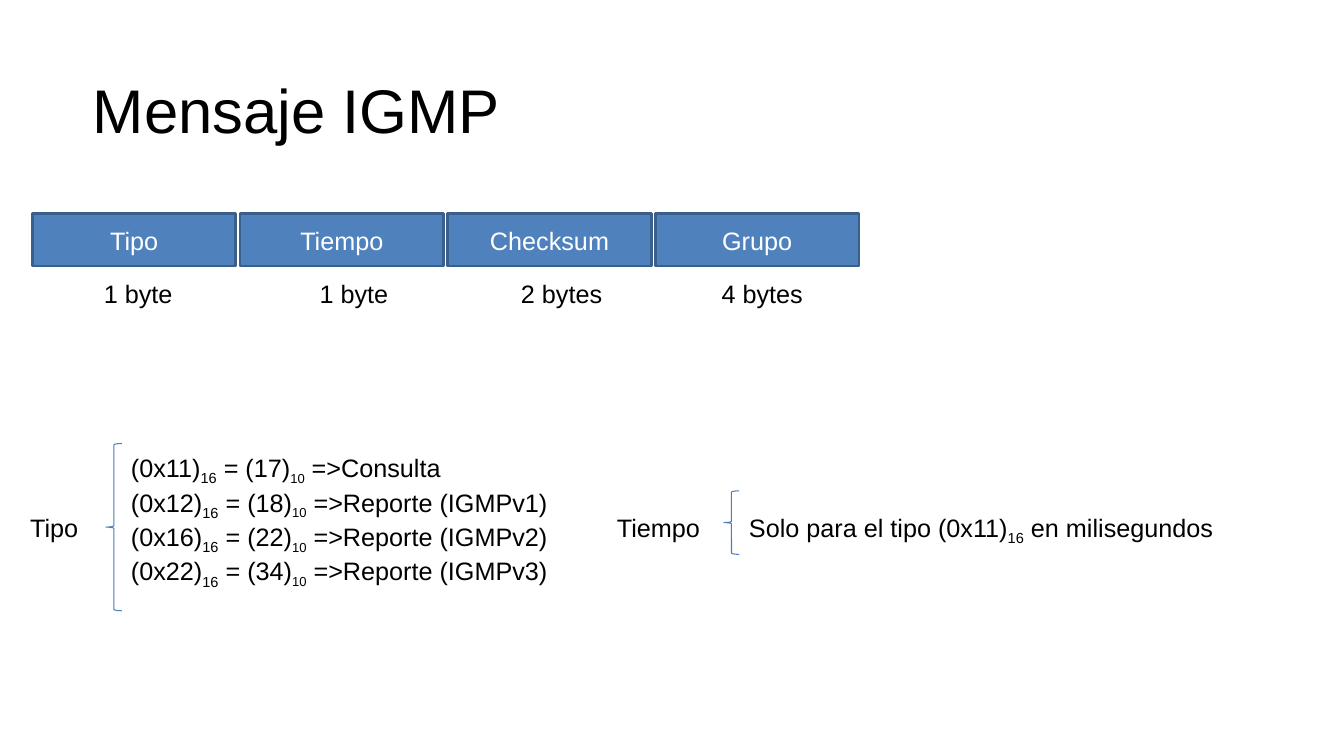
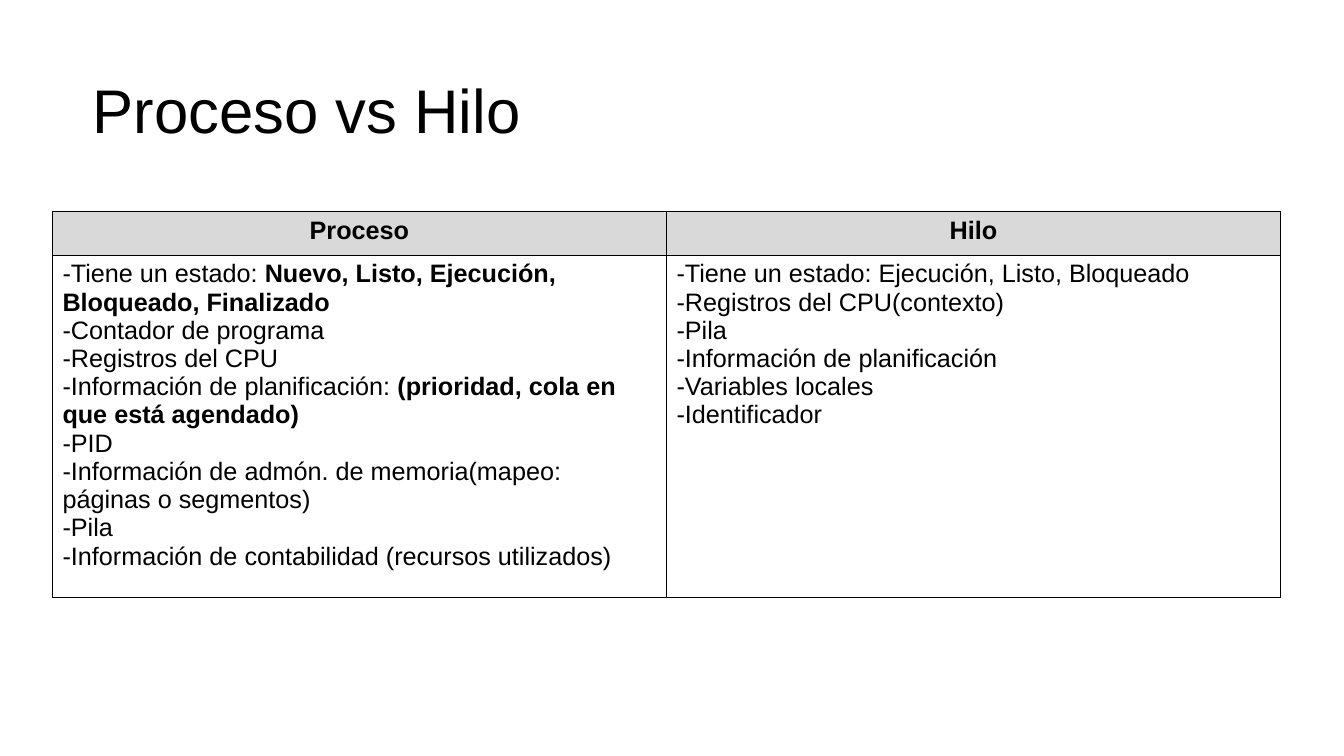
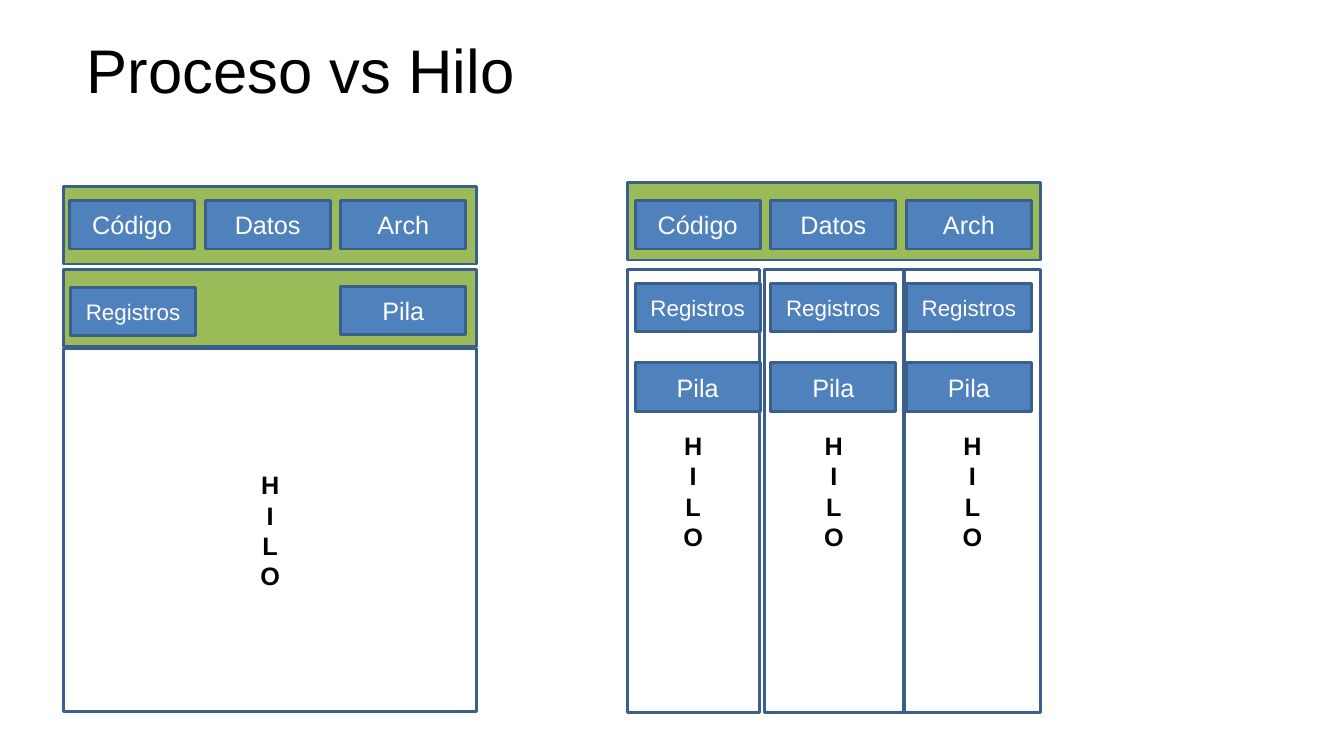
from pptx import Presentation
from pptx.dml.color import RGBColor
from pptx.enum.shapes import MSO_SHAPE
from pptx.enum.text import MSO_ANCHOR, PP_ALIGN
from pptx.oxml import parse_xml
from pptx.oxml.ns import nsdecls
from pptx.util import Inches, Pt

RECTANGLE, LEFT_BRACE = MSO_SHAPE.RECTANGLE, MSO_SHAPE.LEFT_BRACE
TOP, MIDDLE = MSO_ANCHOR.TOP, MSO_ANCHOR.MIDDLE
LEFT, CENTER = PP_ALIGN.LEFT, PP_ALIGN.CENTER

BLACK = RGBColor(0x00, 0x00, 0x00)
WHITE = RGBColor(0xFF, 0xFF, 0xFF)
BLUE = RGBColor(0x4F, 0x81, 0xBD)
DARK_BLUE = RGBColor(0x3A, 0x5F, 0x8B)
BRACE_BLUE = RGBColor(0x4A, 0x7E, 0xBB)
GREEN = RGBColor(0x9B, 0xBB, 0x59)
GRAY = RGBColor(0xD9, 0xD9, 0xD9)
FONT = "Arial"

FIELDS = [("Tipo", "1 byte", 1.37), ("Tiempo", "1 byte", 3.51),
          ("Checksum", "2 bytes", 5.57), ("Grupo", "4 bytes", 7.56)]
MESSAGE_TYPES = [("11", "17", "Consulta"), ("12", "18", "Reporte (IGMPv1)"),
                 ("16", "22", "Reporte (IGMPv2)"), ("22", "34", "Reporte (IGMPv3)")]
PROCESS_TRAITS = [
    ["-Tiene un estado: ", ("Nuevo, Listo, Ejecución, Bloqueado, Finalizado", {"bold": True})],
    "-Contador de programa",
    "-Registros del CPU",
    ["-Información de planificación: ",
     ("(prioridad, cola en que está agendado)", {"bold": True})],
    "-PID",
    "-Información de admón. de memoria(mapeo: páginas o segmentos)",
    "-Pila",
    "-Información de contabilidad (recursos utilizados)",
]
THREAD_TRAITS = [
    "-Tiene un estado: Ejecución, Listo, Bloqueado",
    "-Registros del CPU(contexto)",
    "-Pila",
    "-Información de planificación",
    "-Variables locales",
    "-Identificador",
]
RESOURCES = ["Código", "Datos", "Arch"]
CHIP_WIDTH, CHIP_HEIGHT, CHIP_PITCH = 1.24, 0.48, 1.345
BAR_HEIGHT = 0.77


def write_text(text_frame, paragraphs, size=18, color=BLACK, bold=False,
               align=LEFT, line_spacing=None):
    """Write paragraphs, each a string or a list of strings and (text, format) pairs."""
    for index, content in enumerate(paragraphs):
        paragraph = text_frame.paragraphs[0] if index == 0 else text_frame.add_paragraph()
        paragraph.alignment = align
        paragraph.line_spacing = line_spacing
        for part in [content] if isinstance(content, str) else content:
            text, changes = (part, {}) if isinstance(part, str) else part
            run = paragraph.add_run()
            run.text = text
            run.font.name = FONT
            run.font.size = Pt(changes.get("size", size))
            run.font.bold = changes.get("bold", bold)
            run.font.color.rgb = color
            if "baseline" in changes:
                run.font._element.set("baseline", str(changes["baseline"]))


def add_text(slide, box, paragraphs, anchor=TOP, margins=(0.1, 0.05), **text_format):
    """Add a wrapping text box."""
    text_frame = slide.shapes.add_textbox(*map(Inches, box)).text_frame
    text_frame.word_wrap = True
    text_frame.vertical_anchor = anchor
    text_frame.margin_left = text_frame.margin_right = Inches(margins[0])
    text_frame.margin_top = text_frame.margin_bottom = Inches(margins[1])
    write_text(text_frame, paragraphs, **text_format)


def add_box(slide, box, paragraphs=(), fill=BLUE, color=WHITE, **text_format):
    """Add an outlined rectangle with centred text."""
    shape = slide.shapes.add_shape(RECTANGLE, *map(Inches, box))
    shape.shadow.inherit = False
    shape.fill.solid()
    shape.fill.fore_color.rgb = fill
    shape.line.color.rgb = DARK_BLUE
    shape.line.width = Pt(2)
    shape.text_frame.vertical_anchor = MIDDLE
    write_text(shape.text_frame, paragraphs, color=color, align=CENTER, **text_format)


def add_chip(slide, left, top, label):
    """Add a small blue label box."""
    add_box(slide, (left, top, CHIP_WIDTH, CHIP_HEIGHT), [label],
            size=16 if label == "Registros" else 18)


def add_brace(slide, box):
    """Add a thin left brace."""
    brace = slide.shapes.add_shape(LEFT_BRACE, *map(Inches, box))
    brace.shadow.inherit = False
    brace.fill.background()
    brace.line.color.rgb = BRACE_BLUE
    brace.line.width = Pt(0.75)
    brace.adjustments[0] = 0.083


def add_titled_slide(presentation, title, left=0.92, top=0.4):
    """Add a blank slide with the shared title style."""
    slide = presentation.slides.add_slide(presentation.slide_layouts[6])
    add_text(slide, (left, top, 11.5, 1.45), [title], anchor=MIDDLE,
             margins=(0, 0), size=44, line_spacing=0.9)
    return slide


def add_message_fields(slide, left, top):
    """Draw the row of message fields with their lengths below."""
    for index, (name, length, center) in enumerate(FIELDS):
        add_box(slide, (left + 2.06 * index, top, 2.02, 0.52), [name])
        add_text(slide, (center - 0.6, top + 0.59, 1.2, 0.4), [length], align=CENTER)


def add_definition(slide, label_box, brace_box, text_box, label, paragraphs):
    """Draw a label, a brace and the text it explains."""
    add_text(slide, label_box, [label])
    add_brace(slide, brace_box)
    add_text(slide, text_box, paragraphs)


def build_message_slide(presentation):
    """Build the slide on the message format."""
    slide = add_titled_slide(presentation, "Mensaje IGMP")
    add_message_fields(slide, 0.32, 2.12)
    hexadecimal = ("16", {"baseline": -25000})
    decimal = ("10", {"baseline": -25000, "size": 16})
    types = [[f"(0x{code})", hexadecimal, f" = ({value})", decimal, f" =>{meaning}"]
             for code, value, meaning in MESSAGE_TYPES]
    add_definition(slide, (0.2, 5.03, 0.85, 0.4), (1.05, 4.4, 0.16, 1.66),
                   (1.2, 4.44, 4.82, 1.76), "Tipo", types)
    add_definition(slide, (6.02, 5.03, 1.13, 0.4), (7.18, 4.87, 0.15, 0.63),
                   (7.33, 5.03, 5.09, 0.74), "Tiempo",
                   [["Solo para el tipo (0x11)", hexadecimal, " en milisegundos"]])


def style_cell(cell, fill):
    """Give a table cell thin black borders and a fill."""
    cell.fill.solid()
    cell.fill.fore_color.rgb = fill
    properties = cell._tc.get_or_add_tcPr()
    for index, side in enumerate(("lnL", "lnR", "lnT", "lnB")):
        properties.insert(index, parse_xml(
            f'<a:{side} {nsdecls("a")} w="6350"><a:solidFill>'
            f'<a:srgbClr val="{BLACK}"/></a:solidFill></a:{side}>'))


def add_comparison_table(slide, box):
    """Add the table that compares processes and threads."""
    table = slide.shapes.add_table(2, 2, *map(Inches, box)).table
    table.rows[0].height = Inches(0.43)
    table.rows[1].height = Inches(box[3] - 0.43)
    columns = [("Proceso", PROCESS_TRAITS), ("Hilo", THREAD_TRAITS)]
    for index, (heading, traits) in enumerate(columns):
        header, body = table.cell(0, index), table.cell(1, index)
        style_cell(header, GRAY)
        style_cell(body, WHITE)
        write_text(header.text_frame, [heading], bold=True, align=CENTER)
        write_text(body.text_frame, traits)


def build_comparison_slide(presentation):
    """Build the slide with the comparison table."""
    slide = add_titled_slide(presentation, "Proceso vs Hilo")
    add_comparison_table(slide, (0.52, 2.1, 12.18, 3.8))


def add_thread(slide, box):
    """Add a white box with the word written downwards."""
    add_box(slide, box, list("HILO"), fill=WHITE, color=BLACK, bold=True)


def add_resource_bar(slide, left, top, width, inset_left, inset_top):
    """Add the green bar of shared resources."""
    add_box(slide, (left, top, width, BAR_HEIGHT), fill=GREEN)
    for index, label in enumerate(RESOURCES):
        add_chip(slide, left + inset_left + CHIP_PITCH * index, top + inset_top, label)


def add_single_thread_process(slide, left, top, width, height):
    """Draw a process with one thread."""
    add_resource_bar(slide, left, top, width, 0.06, 0.14)
    add_box(slide, (left, top + 0.82, width, BAR_HEIGHT), fill=GREEN)
    add_chip(slide, left + 0.07, top + 1, "Registros")
    add_chip(slide, left + 0.06 + 2 * CHIP_PITCH, top + 0.99, "Pila")
    add_thread(slide, (left, top + 1.61, width, height - 1.61))


def add_multithread_process(slide, left, top, width, height):
    """Draw a process with three threads."""
    for offset, thread_width in [(1.36, 1.38), (2.75, 1.35), (0, 1.31)]:
        add_thread(slide, (left + offset, top + 0.86, thread_width, height - 0.86))
    add_resource_bar(slide, left, top, width, 0.08, 0.18)
    for row, label in enumerate(["Registros", "Pila"]):
        for column in range(3):
            add_chip(slide, left + 0.08 + CHIP_PITCH * column, top + 1 + 0.79 * row, label)


def build_diagram_slide(presentation):
    """Build the slide with the two process diagrams."""
    slide = add_titled_slide(presentation, "Proceso vs Hilo", 0.86, 0)
    add_single_thread_process(slide, 0.63, 1.85, 4.1, 5.21)
    add_multithread_process(slide, 6.22, 1.81, 4.1, 5.26)


def main():
    """Build and save the presentation."""
    presentation = Presentation()
    presentation.slide_width = Inches(13.33)
    presentation.slide_height = Inches(7.5)
    build_message_slide(presentation)
    build_comparison_slide(presentation)
    build_diagram_slide(presentation)
    presentation.save("out.pptx")


if __name__ == "__main__":
    main()
